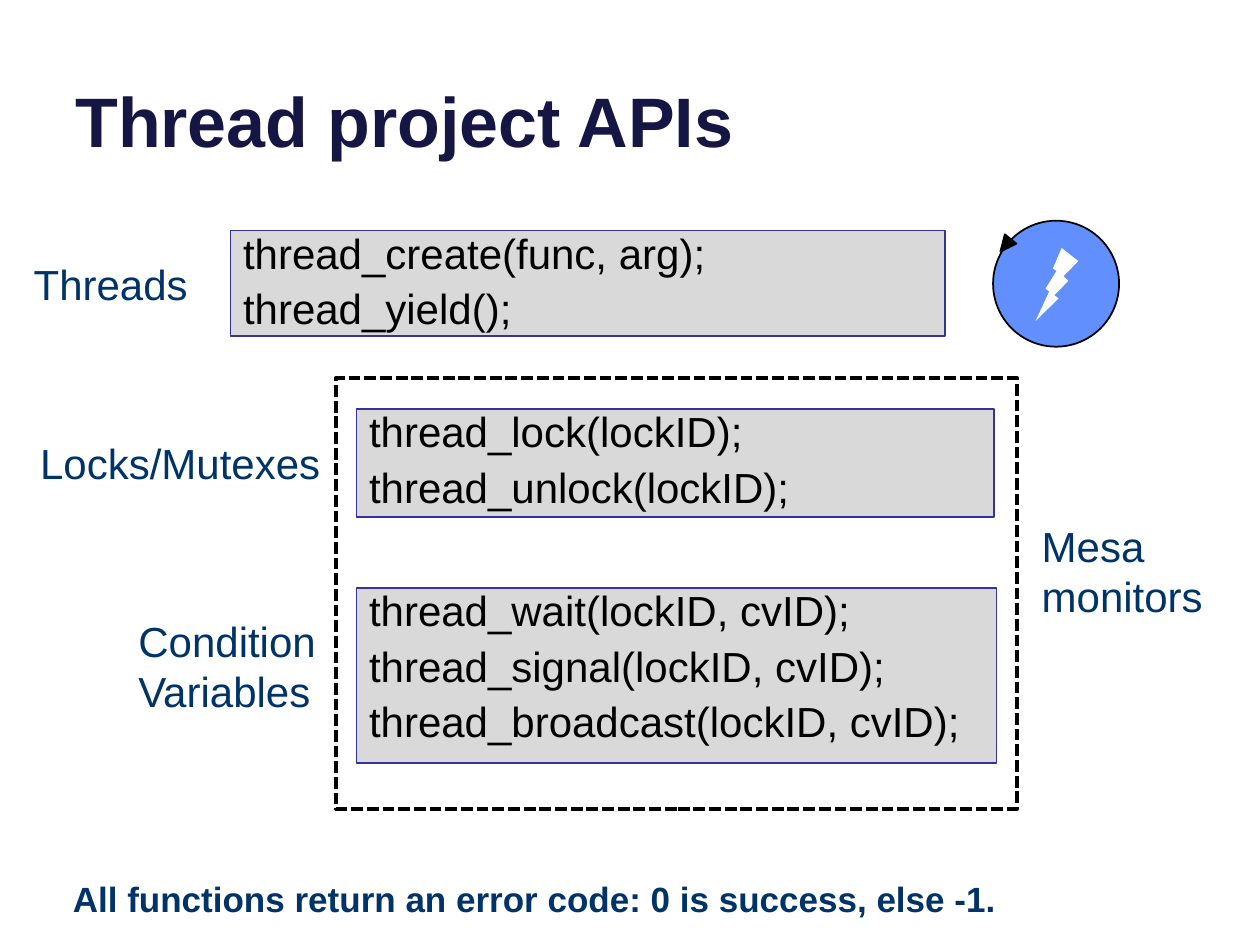
from lxml import etree
from pptx import Presentation
from pptx import util as u
from pptx.dml.color import RGBColor
from pptx.enum import dml, shapes, text

# Content: text lines and left, top, width, height in centimetres
TITLE = ("Thread project APIs", (1.27, -0.94, 22.86, 4.32))
API_BOXES = [
    (["thread_create(func, arg);", "thread_yield();"], (4.65, 4.65, 14.4, 2.13)),
    (["thread_lock(lockID);", "thread_unlock(lockID);"], (7.19, 8.25, 12.85, 2.18)),
    (["thread_wait(lockID, cvID);", "thread_signal(lockID, cvID);",
      "thread_broadcast(lockID, cvID);"], (7.19, 11.86, 12.9, 3.53)),
]
LABELS = [  # text, place, wrapped
    ("Threads", (0.43, 5.08, 3.66, 1.3), False),
    ("Locks/Mutexes", (0.56, 8.69, 6.22, 1.3), False),
    ("Condition Variables", (2.54, 12.27, 6.55, 2.31), True),
    ("Mesa monitors", (20.75, 10.36, 5.72, 2.31), True),
]
MONITOR_FRAME = (6.78, 7.62, 13.72, 8.69)
NOTE = ("All functions return an error code: 0 is success, else -1.",
        (1.22, 17.55, 21.34, 1.12))
THREAD_CIRCLE = (20.02, 4.45, 2.54, 2.54)
THREAD_BOLT = (20.88, 5.0, 0.86, 1.47)
LOOP_ARROW = (20.12, 4.78, 0.3, 0.33)

THEME = {
    "font": "Arial", "title_size": 40, "body_size": 24, "note_size": 20,
    "title": "161645", "label": "003367", "code": "000000",
    "box": "D9D9D9", "box_line": "333399", "black": "000000",
    "circle": "618FFD", "bolt": "FFFFFF",
}


def color(name):
    return RGBColor.from_string(THEME[name])


def lengths(place):
    return [u.Cm(value) for value in place]


def write_text(shape, lines, *, size="body_size", ink="label", bold=False, wrap=True,
               anchor=text.MSO_ANCHOR.TOP, top=0.13, line_spacing=None, gap=0, grow=False):
    frame = shape.text_frame
    frame.word_wrap = wrap
    frame.vertical_anchor = anchor
    frame.margin_top = u.Cm(top)
    if grow:
        frame.auto_size = text.MSO_AUTO_SIZE.SHAPE_TO_FIT_TEXT
    for index, line in enumerate(lines):
        paragraph = frame.paragraphs[0] if index == 0 else frame.add_paragraph()
        paragraph.alignment = text.PP_ALIGN.LEFT
        if line_spacing:
            paragraph.line_spacing = line_spacing
        if index and gap:
            paragraph.space_before = u.Pt(gap)
        run = paragraph.add_run()
        run.text = line
        run.font.name = THEME["font"]
        run.font.size = u.Pt(THEME[size])
        run.font.bold = bold
        run.font.color.rgb = color(ink)


def add_text(slide, line, place, **formatting):
    write_text(slide.shapes.add_textbox(*lengths(place)), [line], **formatting)


def add_figure(parent, kind, place, fill=None, line=None, width=1):
    shape = parent.shapes.add_shape(kind, *lengths(place))
    shape.shadow.inherit = False
    if fill:
        shape.fill.solid()
        shape.fill.fore_color.rgb = color(fill)
    else:
        shape.fill.background()
    if line:
        shape.line.color.rgb = color(line)
        shape.line.width = u.Pt(width)
    else:
        shape.line.fill.background()
    return shape


def main():
    presentation = Presentation()
    presentation.slide_width = u.Cm(25.4)
    presentation.slide_height = u.Cm(19.05)
    slide = presentation.slides.add_slide(presentation.slide_layouts[6])
    kinds = shapes.MSO_SHAPE

    # Title
    add_text(slide, *TITLE, size="title_size", ink="title", bold=True,
             anchor=text.MSO_ANCHOR.BOTTOM)

    # Thread symbol: circle, bolt and loop arrowhead
    symbol = slide.shapes.add_group_shape()
    add_figure(symbol, kinds.OVAL, THREAD_CIRCLE, "circle", "black")
    bolt = add_figure(symbol, kinds.LIGHTNING_BOLT, THREAD_BOLT, "bolt")
    bolt._element.spPr.xfrm.set("flipH", "1")
    arrowhead = add_figure(symbol, kinds.ISOSCELES_TRIANGLE, LOOP_ARROW, "black", "black")
    arrowhead.rotation = 219

    # API boxes
    for lines, place in API_BOXES:
        box = add_figure(slide, kinds.RECTANGLE, place, "box", "box_line")
        write_text(box, lines, ink="code", top=0.25, line_spacing=0.65, gap=13)

    # Labels
    for label, place, wrap in LABELS:
        add_text(slide, label, place, wrap=wrap, grow=True)

    # Dashed frame around the monitor functions
    frame = add_figure(slide, kinds.RECTANGLE, MONITOR_FRAME, line="black", width=2.25)
    frame.line.dash_style = dml.MSO_LINE.SQUARE_DOT

    # Closing note
    add_text(slide, *NOTE, size="note_size", bold=True, grow=True)

    presentation.save("out.pptx")


if __name__ == "__main__":
    main()
